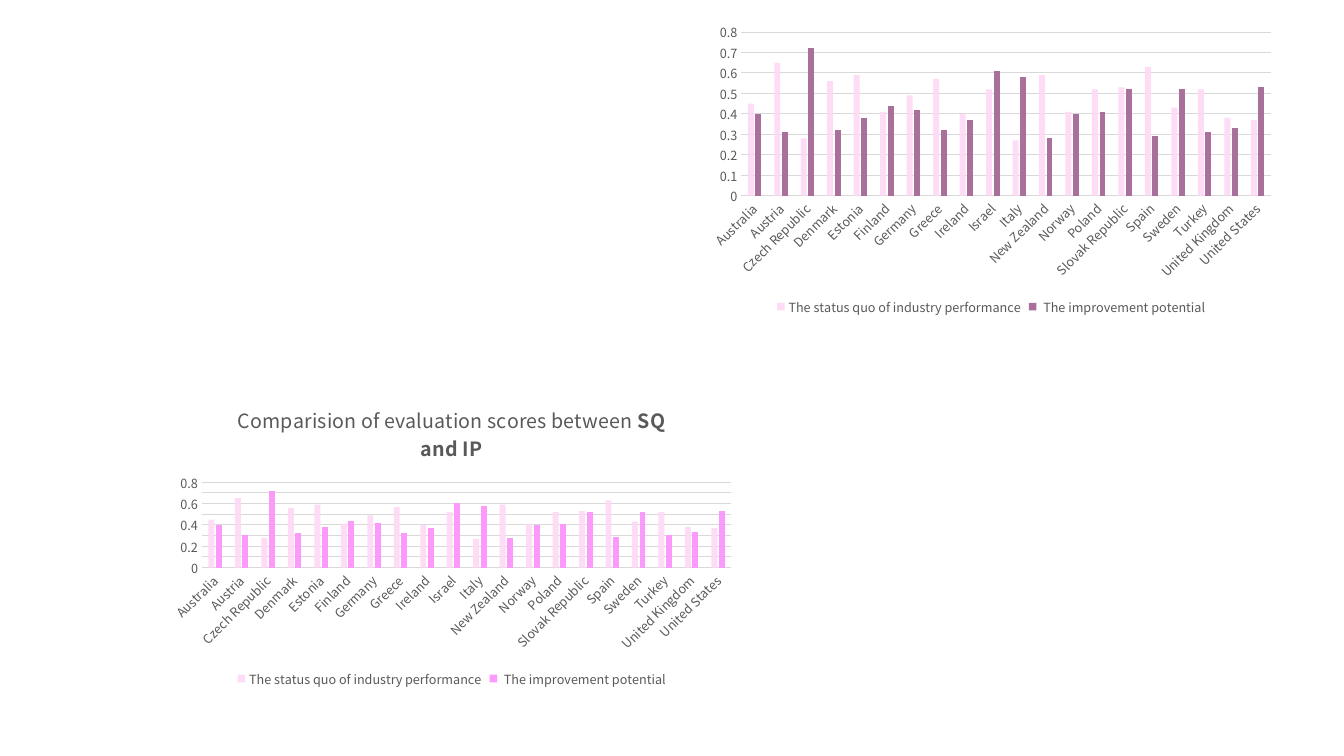
from lxml.etree import SubElement
from pptx import Presentation
from pptx.chart.data import CategoryChartData
from pptx.dml.color import RGBColor
from pptx.enum.chart import XL_CHART_TYPE, XL_LEGEND_POSITION, XL_TICK_MARK
from pptx.oxml.ns import qn
from pptx.util import Inches, Pt

SCORES = [
    ("Australia", 0.45, 0.4), ("Austria", 0.65, 0.31),
    ("Czech Republic", 0.28, 0.72), ("Denmark", 0.56, 0.32),
    ("Estonia", 0.59, 0.38), ("Finland", 0.41, 0.44),
    ("Germany", 0.49, 0.42), ("Greece", 0.57, 0.32),
    ("Ireland", 0.4, 0.37), ("Israel", 0.52, 0.61),
    ("Italy", 0.27, 0.58), ("New Zealand", 0.59, 0.28),
    ("Norway", 0.41, 0.4), ("Poland", 0.52, 0.41),
    ("Slovak Republic", 0.53, 0.52), ("Spain", 0.63, 0.29),
    ("Sweden", 0.43, 0.52), ("Turkey", 0.52, 0.31),
    ("United Kingdom", 0.38, 0.33), ("United States", 0.37, 0.53),
]
NAMES = ("The status quo of industry performance", " The improvement potential")


def color(code):
    return RGBColor.from_string(code)


class Deck:
    """Style and current slide; lengths are percent of the slide size."""
    face, ink, rule, pale = "Noto Sans CJK SC", "595959", "D9D9D9", "FEDAF5"

    def __init__(self):
        self.file = Presentation()
        self.file.slide_width, self.file.slide_height = Inches(13.33), Inches(7.5)
        self.slide = self.file.slides.add_slide(self.file.slide_layouts[6])

    def type(self, font, size=9, bold=False):
        font.name, font.size, font.bold = self.face, Pt(size), bold
        font.color.rgb = color(self.ink)

    def line(self, line):
        line.color.rgb, line.width = color(self.rule), Pt(0.75)

    def title(self, chart, runs):
        chart.has_title = True
        chart.chart_title.include_in_layout = False
        para = chart.chart_title.text_frame.paragraphs[0]
        for text, bold in runs:
            run = para.add_run()
            run.text = text
            self.type(run.font, 14, bold)

    def axes(self, chart):
        cat, val = chart.category_axis, chart.value_axis
        for axis in (cat, val):
            axis.major_tick_mark = axis.minor_tick_mark = XL_TICK_MARK.NONE
            self.type(axis.tick_labels.font)
        # Slanted country names
        body = cat.tick_labels.font._element.getparent().getparent().getparent()
        body.find(qn("a:bodyPr")).set("rot", "-2700000")
        self.line(cat.format.line)
        # Score scale
        val.minimum_scale, val.maximum_scale, val.major_unit = 0, 0.8, 0.1
        val.format.line.fill.background()
        self.line(val.major_gridlines.format.line)

    def bars(self, chart, fills):
        plot = chart.plots[0]
        plot.gap_width, plot.overlap, plot.vary_by_categories = 219, -27, False
        for series, (code, alpha) in zip(plot.series, fills):
            fill = series.format.fill
            fill.solid()
            fill.fore_color.rgb = color(code)
            if alpha < 100:
                tint = series._element.find(".//" + qn("a:srgbClr"))
                SubElement(tint, qn("a:alpha")).set("val", str(alpha * 1000))

    def chart(self, left, top, dark, title=()):
        data = CategoryChartData()
        lands, *scores = zip(*SCORES)
        data.categories = lands
        for name, values in zip(NAMES, scores):
            data.add_series(name, values)
        wide, high = self.file.slide_width / 100, self.file.slide_height / 100
        box = [int(n) for n in (left * wide, top * high, 43.36 * wide, 40 * high)]
        chart = self.slide.shapes.add_chart(
            XL_CHART_TYPE.COLUMN_CLUSTERED, *box, data).chart
        self.type(chart.font, 10)
        if title:
            self.title(chart, title)
        else:
            chart.has_title = False
        self.axes(chart)
        self.bars(chart, ((self.pale, 94), (dark, 100)))
        # Legend
        chart.has_legend = True
        chart.legend.position = XL_LEGEND_POSITION.BOTTOM
        chart.legend.include_in_layout = False
        self.type(chart.legend.font)


def main():
    deck = Deck()
    # Titled chart, lower left
    deck.chart(11.93, 51.47, "FC9AFC", (
        ("Comparision of evaluation scores between ", False),
        ("SQ and IP", True)))
    # Plain chart, upper right
    deck.chart(52.06, 2.27, "A8709B")
    deck.file.save("out.pptx")


if __name__ == "__main__":
    main()
